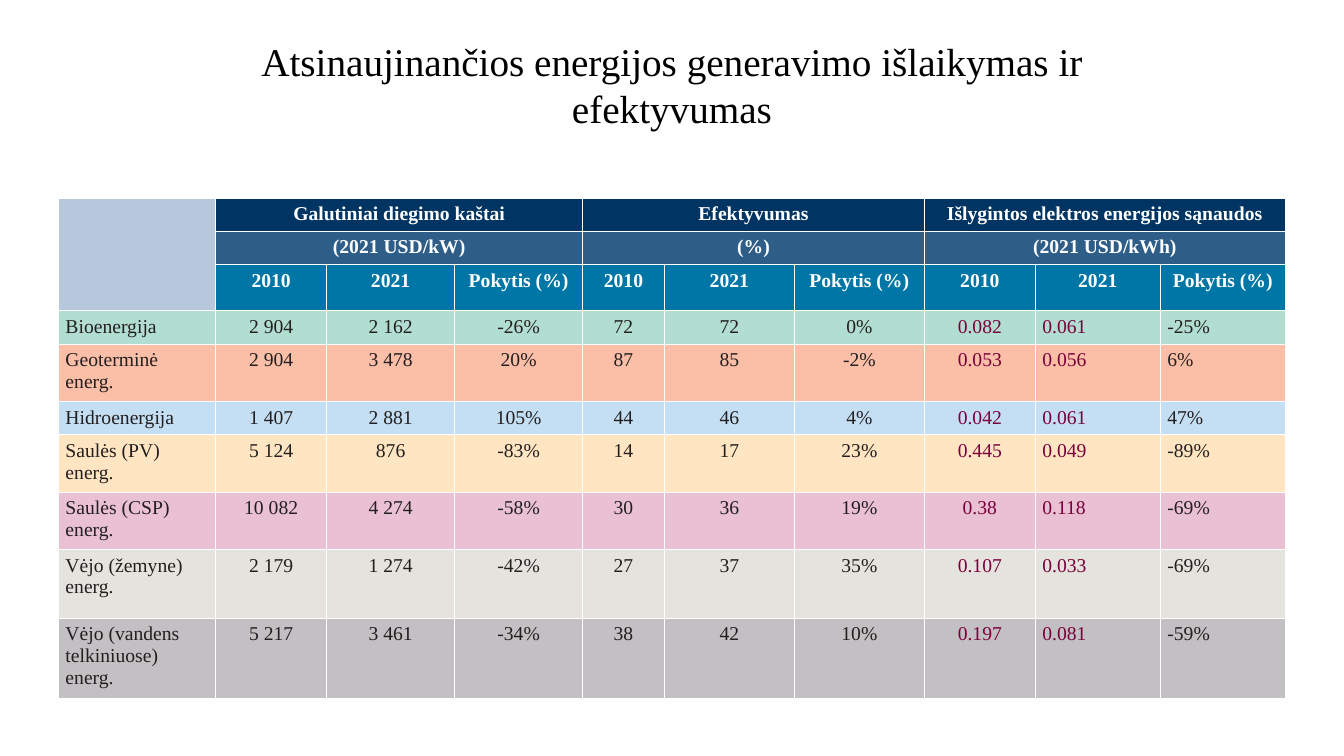
"""Builds a slide comparing costs and efficiency of renewable energy sources."""
from lxml import etree
from pptx import Presentation, util as u
from pptx.dml.color import RGBColor
from pptx.enum import text
from pptx.oxml import ns

FONT = "Times New Roman"
WHITE, INK, PLUM = "FFFFFF", "231F20", "7A003B"
COLUMN_WIDTHS = [1.56, 1.1, 1.27, 1.27, 0.81, 1.29, 1.29, 1.1, 1.24, 1.24]
ROW_HEIGHTS = [0.33, 0.33, 0.46, 0.33, 0.57, 0.33, 0.57, 0.57, 0.68, 0.8]
CORNER_FILL = "B7C8DC"
GROUP_ROWS = [
    ("003563", ["Galutiniai diegimo kaštai", "Efektyvumas",
                "Išlygintos elektros energijos sąnaudos"]),
    ("2E5E88", ["(2021 USD/kW)", "(%)", "(2021 USD/kWh)"]),
]
YEAR_FILL, YEAR_HEADS = "0076A6", ["2010", "2021", "Pokytis (%)"]
SOURCES = [
    ("B2DED1", ["Bioenergija", "2 904", "2 162", "-26%", "72", "72", "0%",
                "0.082", "0.061", "-25%"]),
    ("FBBEA7", ["Geoterminė energ.", "2 904", "3 478", "20%", "87", "85", "-2%",
                "0.053", "0.056", "6%"]),
    ("C4DFF4", ["Hidroenergija", "1 407", "2 881", "105%", "44", "46", "4%",
                "0.042", "0.061", "47%"]),
    ("FFE5C1", ["Saulės (PV) energ.", "5 124", "876", "-83%", "14", "17", "23%",
                "0.445", "0.049", "-89%"]),
    ("EAC1D4", ["Saulės (CSP) energ.", "10 082", "4 274", "-58%", "30", "36", "19%",
                "0.38", "0.118", "-69%"]),
    ("E5E3DD", ["Vėjo (žemyne)\nenerg.", "2 179", "1 274", "-42%", "27", "37", "35%",
                "0.107", "0.033", "-69%"]),
    ("C2C0C2", ["Vėjo (vandens telkiniuose)\nenerg.", "5 217", "3 461", "-34%",
                "38", "42", "10%", "0.197", "0.081", "-59%"]),
]


def rgb(value):
    """Turn a hex string into a colour."""
    return RGBColor.from_string(value)


def write(frame, words, size, color, centred=True, bold=False):
    """Fill a text frame, one paragraph a line, in a single style."""
    frame.text = words
    for paragraph in frame.paragraphs:
        paragraph.alignment = text.PP_ALIGN.CENTER if centred else text.PP_ALIGN.LEFT
        paragraph.font.name = FONT
        paragraph.font.size = u.Pt(size)
        paragraph.font.bold = bold
        paragraph.font.color.rgb = rgb(color)


def outline(cell):
    """Give a cell thin white borders, placed ahead of its fill."""
    properties = cell._tc.get_or_add_tcPr()
    for position, side in enumerate(("a:lnL", "a:lnR", "a:lnT", "a:lnB")):
        border = etree.Element(ns.qn(side), w=str(u.Pt(0.75)))
        solid = etree.SubElement(border, ns.qn("a:solidFill"))
        etree.SubElement(solid, ns.qn("a:srgbClr"), val=WHITE)
        properties.insert(position, border)


def fill_cell(cell, fill, words="", color=WHITE, centred=True, bold=False):
    """Paint, border and write one table cell."""
    cell.fill.solid()
    cell.fill.fore_color.rgb = rgb(fill)
    outline(cell)
    cell.margin_left = cell.margin_right = u.Inches(0.07)
    cell.margin_top = cell.margin_bottom = u.Inches(0.05)
    write(cell.text_frame, words, 14, color, centred, bold)


def add_title(slide, width, height):
    """Place the heading in the title placeholder."""
    title = slide.shapes.title
    title.left, title.top = int(width * 0.153), int(height * 0.041)
    title.width, title.height = int(width * 0.694), int(height * 0.14)
    frame = title.text_frame
    frame.auto_size = text.MSO_AUTO_SIZE.NONE
    frame.vertical_anchor = text.MSO_ANCHOR.MIDDLE
    write(frame, "Atsinaujinančios energijos generavimo išlaikymas ir efektyvumas",
          28, "000000")


def add_headings(table):
    """Fill the corner, the merged group headings and the year headings."""
    for row in range(3):
        fill_cell(table.cell(row, 0), CORNER_FILL)
    table.cell(0, 0).merge(table.cell(2, 0))
    for row, (fill, headings) in enumerate(GROUP_ROWS):
        for group, heading in enumerate(headings):
            first = 1 + 3 * group
            for column in range(first, first + 3):
                fill_cell(table.cell(row, column), fill,
                          heading if column == first else "", bold=True)
            table.cell(row, first).merge(table.cell(row, first + 2))
    for column, heading in enumerate(YEAR_HEADS * 3, start=1):
        fill_cell(table.cell(2, column), YEAR_FILL, heading, bold=True)


def add_sources(table):
    """Fill one coloured row for each energy source."""
    for row, (fill, values) in enumerate(SOURCES, start=3):
        for column, value in enumerate(values):
            fill_cell(table.cell(row, column), fill, value,
                      color=PLUM if column in (7, 8) else INK,
                      centred=1 <= column <= 7)


def add_energy_table(slide, width, height):
    """Add the table of costs and efficiency, centred across the slide."""
    table_width = u.Inches(sum(COLUMN_WIDTHS))
    table = slide.shapes.add_table(
        len(ROW_HEIGHTS), len(COLUMN_WIDTHS), (width - table_width) // 2,
        int(height * 0.262), table_width, u.Inches(sum(ROW_HEIGHTS))).table
    table.first_row = table.horz_banding = False
    for column, size in zip(table.columns, COLUMN_WIDTHS):
        column.width = u.Inches(size)
    for row, size in zip(table.rows, ROW_HEIGHTS):
        row.height = u.Inches(size)
    add_headings(table)
    add_sources(table)


def main():
    """Build and save the slide."""
    deck = Presentation()
    deck.slide_width, deck.slide_height = u.Inches(13.33), u.Inches(7.5)
    slide = deck.slides.add_slide(deck.slide_layouts[5])
    add_title(slide, deck.slide_width, deck.slide_height)
    add_energy_table(slide, deck.slide_width, deck.slide_height)
    deck.save("out.pptx")


if __name__ == "__main__":
    main()
